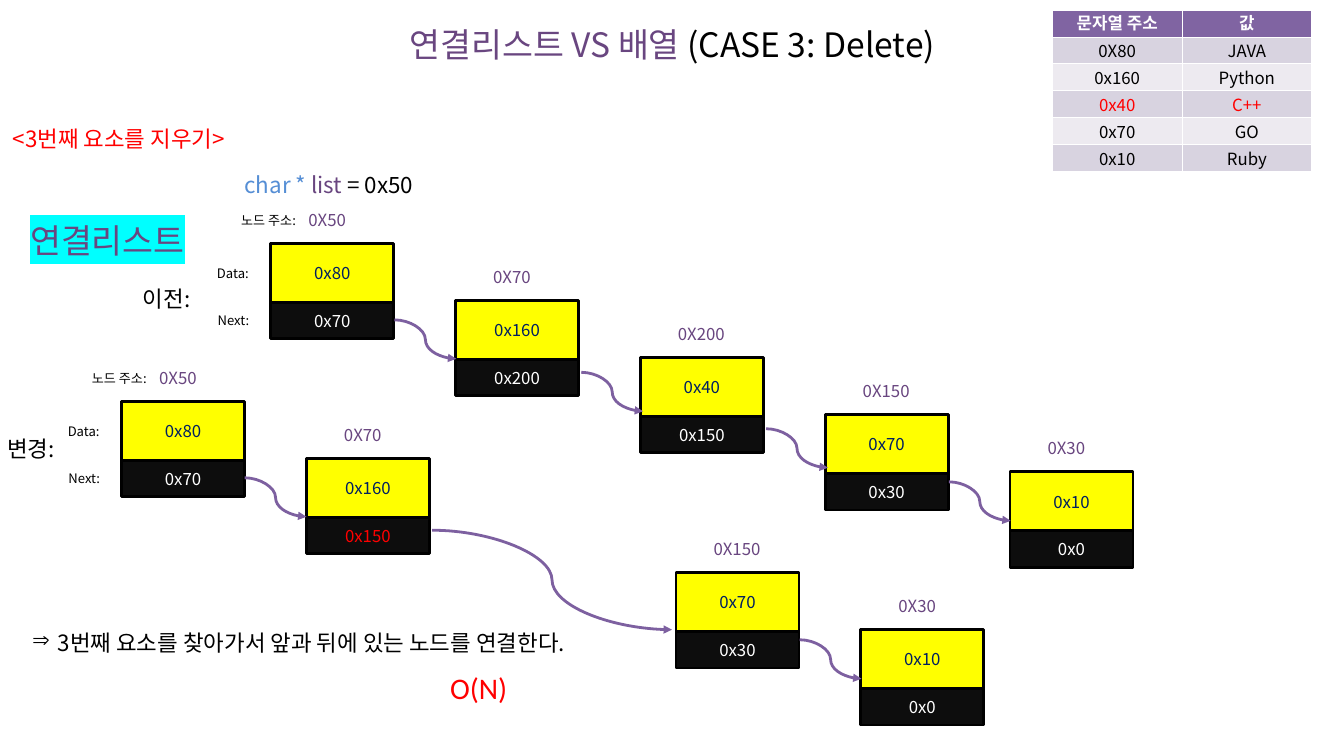
from pptx import Presentation
from pptx.dml.color import RGBColor
from pptx.enum.shapes import MSO_CONNECTOR, MSO_SHAPE
from pptx.enum.text import MSO_ANCHOR, MSO_AUTO_SIZE, PP_ALIGN
from pptx.oxml.ns import qn
from pptx.util import Inches, Pt
from lxml import etree

RECT = MSO_SHAPE.RECTANGLE
CURVE = MSO_CONNECTOR.CURVE
MIDDLE = MSO_ANCHOR.MIDDLE
GROW = MSO_AUTO_SIZE.SHAPE_TO_FIT_TEXT
LEFT, CENTER = PP_ALIGN.LEFT, PP_ALIGN.CENTER

FONT = "Noto Sans CJK KR"
LATIN = "Calibri"
COLORS = {
    "black": "000000", "white": "FFFFFF", "red": "FF0000",
    "purple": "694680", "blue": "558ED5", "navy": "002060",
    "yellow": "FFFF00", "dark": "0D0D0D", "arrow": "7D60A0",
    "cyan": "00FFFF", "head": "8064A2", "odd": "D8D3E0", "even": "EDEAF0",
}
STEP_X, STEP_Y = 2.75, 0.85
NODE_W, DATA_H, NEXT_H = 1.83, 0.88, 0.54
HOP = (0.92, 0.58)

BEFORE = [
    (0, "0X50", "0x80", "0x70", "white"),
    (1, "0X70", "0x160", "0x200", "white"),
    (2, "0X200", "0x40", "0x150", "white"),
    (3, "0X150", "0x70", "0x30", "white"),
    (4, "0X30", "0x10", "0x0", "white"),
]
AFTER = [
    (0, "0X50", "0x80", "0x70", "white"),
    (1, "0X70", "0x160", "0x150", "red"),
    (3, "0X150", "0x70", "0x30", "white"),
    (4, "0X30", "0x10", "0x0", "white"),
]
ARROWS = [
    (5.87, 4.76, HOP), (8.65, 5.54, HOP), (11.4, 6.38, HOP),
    (14.12, 7.17, HOP), (3.64, 7.11, HOP), (6.43, 7.89, (3.57, 1.48)),
    (11.9, 9.52, HOP),
]
VALUES = [
    ("문자열 주소", "값"), ("0X80", "JAVA"), ("0x160", "Python"),
    ("0x40", "C++"), ("0x70", "GO"), ("0x10", "Ruby"),
]


def rgb(name):
    """Return the named colour."""
    return RGBColor.from_string(COLORS[name])


def style(para, size, color=None, face=FONT, align=LEFT):
    """Set the font and alignment of a paragraph."""
    para.alignment = align
    font = para.font
    font.size, font.name = Pt(size), face
    if color:
        font.color.rgb = rgb(color)
    props = para._p.get_or_add_pPr().find(qn("a:defRPr"))
    etree.SubElement(props, qn("a:ea"), typeface=face)


def label(slide, box, runs, size, face=FONT, align=LEFT, wrap=False):
    """Add a text box from (text, colour) runs and return its paragraph."""
    shape = slide.shapes.add_textbox(*map(Inches, box))
    frame = shape.text_frame
    frame.word_wrap, frame.auto_size = wrap, GROW
    para = frame.paragraphs[0]
    style(para, size, runs[0][1] if len(runs) == 1 else None, face, align)
    for text, color in runs:
        run = para.add_run()
        run.text = text
        if len(runs) > 1:
            run.font.color.rgb = rgb(color)
    return para


def block(slide, box, text, fill, color):
    """Add one outlined cell of a node."""
    shape = slide.shapes.add_shape(RECT, *map(Inches, box))
    shape.shadow.inherit = False
    shape.fill.solid()
    shape.fill.fore_color.rgb = rgb(fill)
    shape.line.color.rgb = rgb("black")
    shape.line.width = Pt(3)
    frame = shape.text_frame
    frame.vertical_anchor = MIDDLE
    para = frame.paragraphs[0]
    para.text = text
    style(para, 18, color, align=CENTER)


def chain(slide, left, top, nodes):
    """Add a staircase of nodes with the row labels of its first node."""
    for slot, tag, data, link, color in nodes:
        x, y = left + slot * STEP_X, top + slot * STEP_Y
        block(slide, (x, y + DATA_H, NODE_W, NEXT_H), link, "dark", color)
        wide = 0.88 if len(tag) == 4 else 1
        label(slide, (x + 0.46, y - 0.55, wide, 0.4), [(tag, "purple")], 18)
        block(slide, (x, y, NODE_W, DATA_H), data, "yellow", "navy")
    for dx, dy, wide, text in [(-0.54, -0.51, 1.08, "노드 주소:"),
                               (-0.9, 0.28, 0.72, "Data:"),
                               (-0.89, 0.98, 0.72, "Next:")]:
        label(slide, (left + dx, top + dy, wide, 0.34), [(text, "black")], 14)


def arrow(slide, x, y, span):
    """Add a curved arrow that runs right and down by the span."""
    ends = (x, y, x + span[0], y + span[1])
    link = slide.shapes.add_connector(CURVE, *map(Inches, ends))
    link.line.color.rgb = rgb("arrow")
    link.line.width = Pt(3)
    etree.SubElement(link.line._get_or_add_ln(), qn("a:tailEnd"), type="triangle")
    etree.SubElement(link._element.spPr, qn("a:effectLst"))


def table(slide):
    """Add the table of string addresses and values."""
    area = map(Inches, (15.66, 0.15, 3.86, 2.4))
    grid = slide.shapes.add_table(len(VALUES), 2, *area).table
    for i, row in enumerate(VALUES):
        for j, text in enumerate(row):
            cell = grid.cell(i, j)
            cell.fill.solid()
            cell.fill.fore_color.rgb = rgb(
                "head" if i == 0 else "odd" if i % 2 else "even")
            cell.vertical_anchor = MIDDLE
            cell.margin_top = cell.margin_bottom = 0
            para = cell.text_frame.paragraphs[0]
            para.text = text
            color = "white" if i == 0 else "red" if i == 3 else "black"
            style(para, 18, color, FONT if i else LATIN, CENTER)
            para.font.bold = i == 0


def mark(para, color):
    """Highlight the first run of a paragraph."""
    props = para.runs[0]._r.get_or_add_rPr()
    light = etree.SubElement(props, qn("a:highlight"))
    etree.SubElement(light, qn("a:srgbClr"), val=COLORS[color])


def bullet(para, char, indent):
    """Give a paragraph a hanging bullet."""
    props = para._p.get_or_add_pPr()
    props.set("marL", str(Inches(indent)))
    props.set("indent", str(-Inches(indent)))
    sign = etree.Element(qn("a:buChar"), char=char)
    props.insert(0, sign)


def main():
    """Build the slide and save it."""
    deck = Presentation()
    deck.slide_width, deck.slide_height = Inches(20), Inches(11.25)
    slide = deck.slides.add_slide(deck.slide_layouts[6])

    label(slide, (5.53, 0.31, 8.95, 0.71),
          [("연결리스트 VS 배열 ", "purple"), ("(CASE 3: Delete)", "black")],
          36, align=CENTER)
    chain(slide, 4.03, 3.62, BEFORE)
    chain(slide, 1.81, 5.97, AFTER)
    for x, y, span in ARROWS:
        arrow(slide, x, y, span)

    name = label(slide, (0.35, 3.23, 2.62, 0.71), [("연결리스트", "purple")], 36)
    mark(name, "cyan")
    label(slide, (3.54, 2.49, 3.21, 0.5),
          [("char *", "blue"), (" list", "purple"), (" = 0x50", "black")], 24)
    label(slide, (0.09, 1.81, 3.5, 0.5),
          [("<3번째 요소를 지우기>", "red")], 24, wrap=True)
    note = label(slide, (0.38, 9.31, 8.64, 0.5),
                 [("3번째 요소를 찾아가서 앞과 뒤에 있는 노드를 연결한다.", "black")], 24)
    bullet(note, "⇒", 0.38)
    label(slide, (6.6, 9.91, 1.06, 0.64), [("O(N)", "red")], 32, LATIN)
    label(slide, (2.03, 4.2, 0.94, 0.5), [("이전:", "black")], 24)
    label(slide, (0.01, 6.42, 0.94, 0.5), [("변경:", "black")], 24)
    table(slide)
    deck.save("out.pptx")


main()
